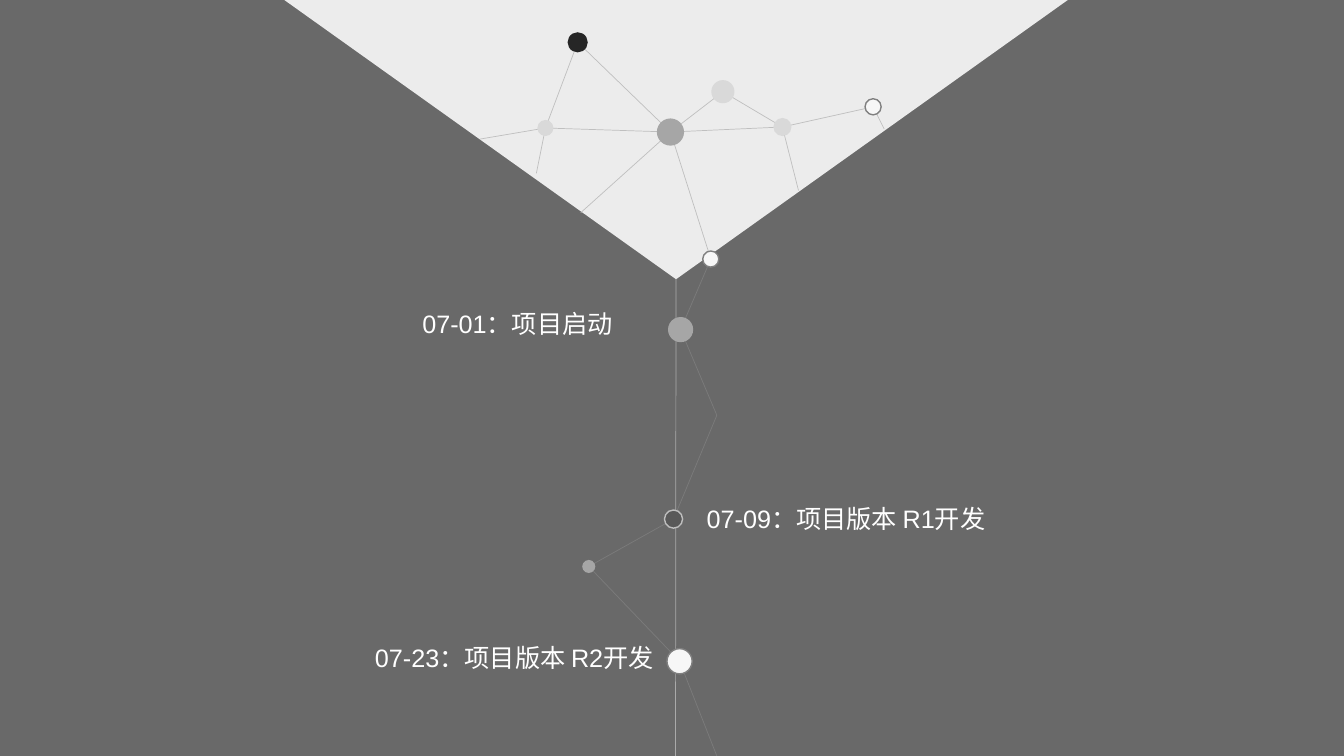
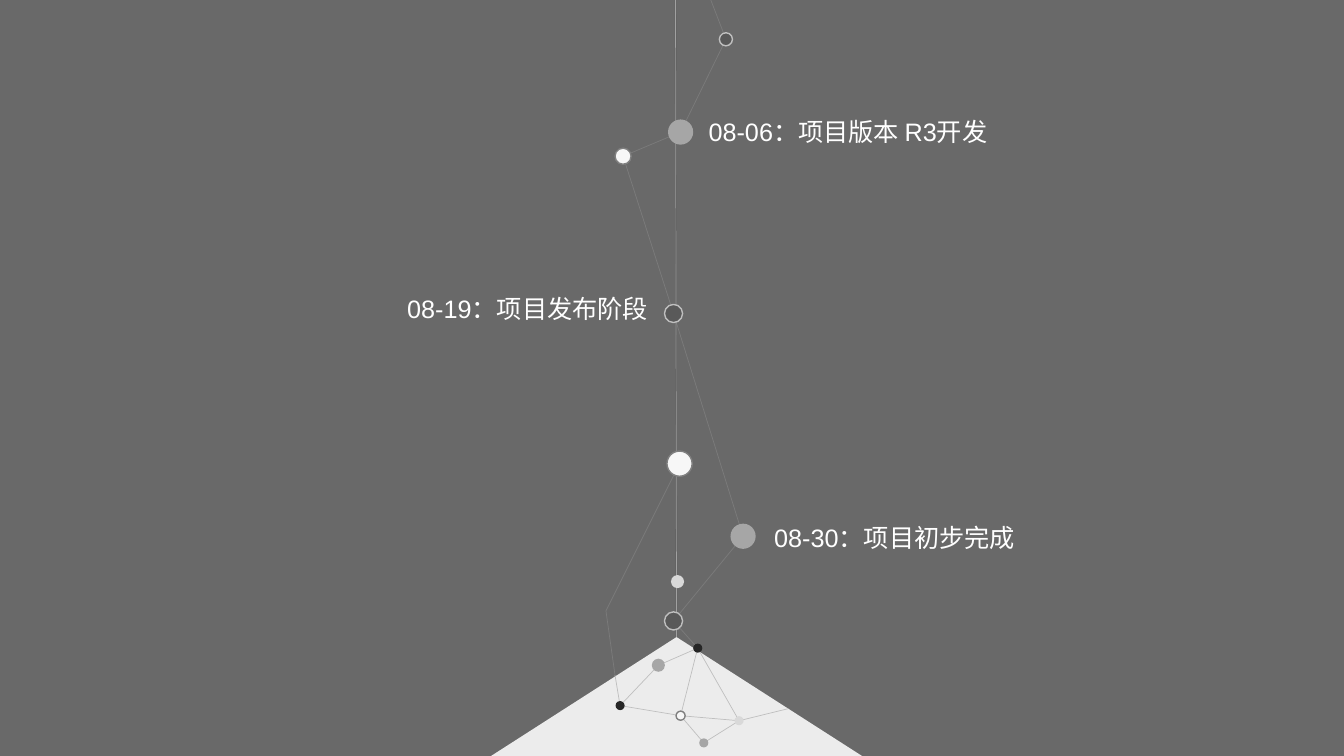
"""Build a two-slide project timeline with milestones along a central axis."""
from dataclasses import dataclass
from itertools import pairwise

from pptx import Presentation
from pptx.dml.color import RGBColor
from pptx.enum.shapes import MSO_CONNECTOR, MSO_SHAPE
from pptx.enum.text import MSO_AUTO_SIZE
from pptx.oxml.ns import qn
from pptx.util import Inches, Pt

STRAIGHT = MSO_CONNECTOR.STRAIGHT
ELLIPSE = MSO_SHAPE.OVAL
TRIANGLE = MSO_SHAPE.ISOSCELES_TRIANGLE
GROW = MSO_AUTO_SIZE.SHAPE_TO_FIT_TEXT
WIDTH, HEIGHT, AXIS_X = 13.33, 7.5, 6.7


@dataclass(frozen=True)
class Stroke:
    """Colour, width in points and opacity in percent of a line."""
    color: str
    width: float
    opacity: int = 100


class Theme:
    """Colours, strokes, dot sizes and type shared by the slides."""
    background = "696969"
    panel = "ECECEC"
    text = "FFFFFF"
    font = "Arial"
    text_size = 18
    label_height = 0.4
    strokes = {
        "shade": Stroke("595959", 1),
        "axis": Stroke("FFFFFF", 0.5, 43),
        "trail": Stroke("BFBFBF", 0.5, 21),
        "network": Stroke("BFBFBF", 0.5),
    }
    looks = {
        "black": ("262626", None),
        "grey": ("A6A6A6", None),
        "pale": ("D9D9D9", None),
        "white": ("F7F7F7", Stroke("808080", 1)),
        "dark": ("595959", Stroke("BFBFBF", 1)),
    }
    sizes = {"hub": 0.27, "large": 0.25, "wide": 0.23, "medium": 0.2,
             "normal": 0.18, "slim": 0.16, "small": 0.13, "tiny": 0.09}


SLIDES = [
    {
        "panel": (2.82, 7.77, 2.77),
        "points_down": True,
        "spine": ["axis"],
        "dots": {
            "crown": (5.73, 0.42, "black", "medium"),
            "west": (5.41, 1.27, "pale", "slim"),
            "centre": (6.65, 1.31, "grey", "hub"),
            "north": (7.17, 0.91, "pale", "wide"),
            "east": (7.76, 1.26, "pale", "normal"),
            "far": (8.66, 1.06, "white", "slim"),
            "exit": (7.05, 2.57, "white", "slim"),
            "start": (6.75, 3.27, "grey", "large"),
            "r1": (6.68, 5.15, "dark", "normal"),
            "side": (5.84, 5.62, "grey", "small"),
            "r2": (6.74, 6.56, "white", "large"),
        },
        "corners": {
            "far_edge": (8.77, 1.28), "west_low": (5.32, 1.72),
            "west_edge": (4.76, 1.38), "centre_edge": (5.76, 2.11),
            "east_edge": (7.92, 1.89), "turn": (7.11, 4.12),
            "leave": (7.11, HEIGHT),
        },
        "chains": [
            ("trail", "exit start turn r1 side r2 leave"),
            ("network", "west_edge west crown centre north east far far_edge"),
            ("network", "west_low west centre east east_edge"),
            ("network", "centre_edge centre exit"),
        ],
        "milestones": [
            ("07-01：项目启动", 4.09, 3.01, 2.62),
            ("07-09：项目版本 R1开发", 6.91, 4.94, 3.08),
            ("07-23：项目版本 R2开发", 3.62, 6.32, 3.08),
        ],
    },
    {
        "panel": (4.87, 3.68, 1.18),
        "points_down": False,
        "spine": ["shade", "axis"],
        "dots": {
            "bend": (7.2, 0.39, "dark", "small"),
            "r3": (6.75, 1.31, "grey", "large"),
            "side": (6.18, 1.55, "white", "slim"),
            "release": (6.68, 3.11, "dark", "normal"),
            "bright": (6.74, 4.6, "white", "large"),
            "done": (7.37, 5.32, "grey", "large"),
            "step": (6.72, 5.77, "pale", "small"),
            "gate": (6.68, 6.16, "dark", "normal"),
            "peak": (6.92, 6.43, "black", "tiny"),
            "slope": (6.53, 6.6, "grey", "small"),
            "foot": (6.15, 7, "black", "tiny"),
            "ring": (6.75, 7.1, "white", "tiny"),
            "east": (7.33, 7.15, "pale", "tiny"),
            "low": (6.98, 7.37, "grey", "tiny"),
        },
        "corners": {
            "enter": (7.05, 0), "elbow": (6.01, 6.06),
            "border": (6.1, 6.7), "east_edge": (7.82, 7.03),
        },
        "chains": [
            ("trail", "enter bend r3 side release done gate peak"),
            ("trail", "bright elbow border"),
            ("network", "border foot slope peak ring foot"),
            ("network", "ring low east ring"),
            ("network", "peak east east_edge"),
        ],
        "milestones": [
            ("08-06：项目版本 R3开发", 6.93, 1.11, 3.26),
            ("08-19：项目发布阶段", 3.94, 2.86, 2.62),
            ("08-30：项目初步完成", 7.58, 5.13, 2.62),
        ],
    },
]


def apply_stroke(line, stroke):
    """Give a line its colour and width, or hide it."""
    if stroke is None:
        line.fill.background()
        return
    line.color.rgb = RGBColor.from_string(stroke.color)
    line.width = Pt(stroke.width)


def add_link(slide, start, end, stroke):
    """Draw one straight line, translucent where the stroke says so."""
    link = slide.shapes.add_connector(STRAIGHT, *map(Inches, (*start, *end)))
    apply_stroke(link.line, stroke)
    properties = link._element.spPr
    if stroke.opacity < 100:
        color = next(properties.iter(qn("a:srgbClr")))
        alpha = color.makeelement(qn("a:alpha"), {"val": str(stroke.opacity * 1000)})
        color.append(alpha)
    properties.append(properties.makeelement(qn("a:effectLst"), {}))


def add_figure(slide, preset, box, fill, stroke=None):
    """Draw a flat preset shape."""
    figure = slide.shapes.add_shape(preset, *map(Inches, box))
    figure.shadow.inherit = False
    figure.fill.solid()
    figure.fill.fore_color.rgb = RGBColor.from_string(fill)
    apply_stroke(figure.line, stroke)
    return figure


def add_panel_and_spine(slide, content):
    """Draw the triangle and the axis that meets its apex."""
    left, width, height = content["panel"]
    down = content["points_down"]
    top = 0 if down else HEIGHT - height
    panel = add_figure(slide, TRIANGLE, (left, top, width, height), Theme.panel)
    panel.rotation = 180 if down else 0
    apex = (left + width / 2, height if down else top)
    for role in content["spine"]:
        outer = (AXIS_X, HEIGHT if down else 0)
        add_link(slide, outer, apex, Theme.strokes[role])


def add_network(slide, content):
    """Link the dots along their chains and lay the dots on top."""
    dots = content["dots"]
    places = {name: dot[:2] for name, dot in dots.items()} | content["corners"]
    for role, chain in content["chains"]:
        for start, end in pairwise(chain.split()):
            add_link(slide, places[start], places[end], Theme.strokes[role])
    for x, y, look, size_name in dots.values():
        size = Theme.sizes[size_name]
        box = (x - size / 2, y - size / 2, size, size)
        add_figure(slide, ELLIPSE, box, *Theme.looks[look])


def add_milestone(slide, caption, left, top, width):
    """Write one milestone caption."""
    box = map(Inches, (left, top, width, Theme.label_height))
    frame = slide.shapes.add_textbox(*box).text_frame
    frame.word_wrap = True
    frame.auto_size = GROW
    frame.text = caption
    font = frame.paragraphs[0].runs[0].font
    font.name = Theme.font
    font.size = Pt(Theme.text_size)
    font.color.rgb = RGBColor.from_string(Theme.text)


def main():
    """Build and save the deck."""
    deck = Presentation()
    deck.slide_width, deck.slide_height = Inches(WIDTH), Inches(HEIGHT)
    backdrop = deck.slide_master.background.fill
    backdrop.solid()
    backdrop.fore_color.rgb = RGBColor.from_string(Theme.background)
    for content in SLIDES:
        slide = deck.slides.add_slide(deck.slide_layouts[6])
        add_panel_and_spine(slide, content)
        add_network(slide, content)
        for milestone in content["milestones"]:
            add_milestone(slide, *milestone)
    deck.save("out.pptx")


if __name__ == "__main__":
    main()
